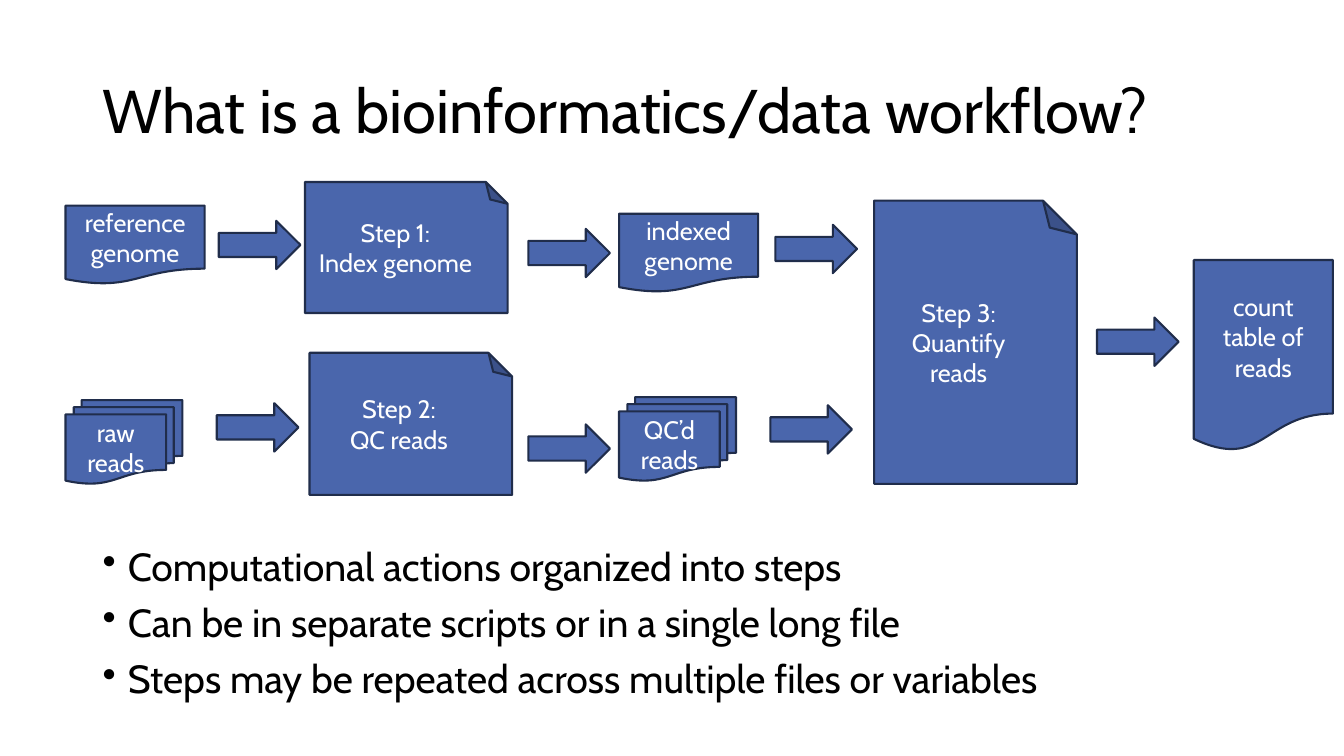
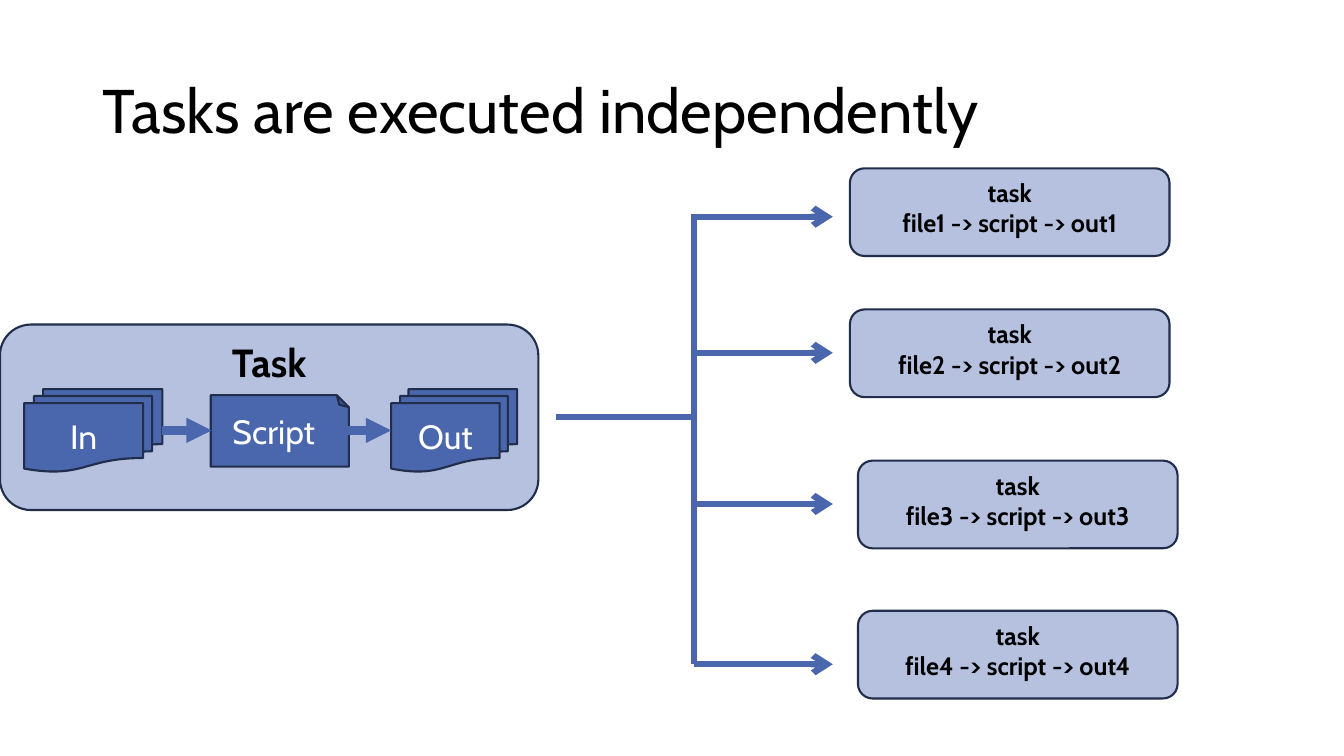
import pptx
import pptx.util
import pptx.dml.color
import pptx.enum.shapes
import pptx.enum.text
import pptx.oxml.ns
import lxml.etree

PX = 9144  # EMU in one px, 100 px to the inch
FORM = pptx.enum.shapes.MSO_SHAPE
ALIGN = pptx.enum.text.PP_ALIGN
ANCHOR = pptx.enum.text.MSO_ANCHOR


class Deck:
    font = "Cabin"
    tint = {
        "blue": "4A66AC",
        "pale": "B5C1DF",
        "edge": "202D4B",
        "text": "000000",
        "light": "FFFFFF",
    }

    def __init__(self):
        self.prs = pptx.Presentation()
        self.prs.slide_width = 1333 * PX
        self.prs.slide_height = 750 * PX
        self.slide = None

    def color(self, name):
        return pptx.dml.color.RGBColor.from_string(self.tint[name])

    def node(self, parent, tag, **attrs):
        return lxml.etree.SubElement(parent, pptx.oxml.ns.qn(tag), attrs)

    def label(self, shape, text, size, color, bold=False, align=ALIGN.CENTER,
              anchor=ANCHOR.MIDDLE):
        frame = shape.text_frame
        frame.text = text
        frame.word_wrap = True
        frame.vertical_anchor = anchor
        for para in frame.paragraphs:
            para.alignment = align
            for run in para.runs:
                run.font.name = self.font
                run.font.size = pptx.util.Pt(size)
                run.font.bold = bold
                run.font.color.rgb = self.color(color)
        return frame.paragraphs

    # Text blocks
    def block(self, box, text, size, anchor):
        shape = self.slide.shapes.add_textbox(*[n * PX for n in box])
        paras = self.label(shape, text, size, "text", align=ALIGN.LEFT, anchor=anchor)
        for para in paras:
            para.line_spacing = 0.9
        return paras

    def page(self, title):
        self.slide = self.prs.slides.add_slide(self.prs.slide_layouts[6])
        self.block((92, 40, 1150, 145), title, 44, ANCHOR.MIDDLE)

    def bullets(self, box, items):
        for para in self.block(box, "\n".join(items), 28, ANCHOR.TOP):
            para.space_before = pptx.util.Pt(10)
            props = para._p.get_or_add_pPr()
            props.set("marL", str(25 * PX))
            props.set("indent", str(-25 * PX))
            self.node(props, "a:buChar", char="•")

    # Filled shapes
    def shape(self, form, x, y, w, h, fill="blue"):
        shape = self.slide.shapes.add_shape(form, x * PX, y * PX, w * PX, h * PX)
        shape.shadow.inherit = False
        shape.fill.solid()
        shape.fill.fore_color.rgb = self.color(fill)
        shape.line.color.rgb = self.color("edge")
        shape.line.width = pptx.util.Pt(1.5)
        return shape

    def file(self, x, y, w, h, text):
        self.label(self.shape(FORM.FLOWCHART_DOCUMENT, x, y, w, h), text, 18, "light")

    def stack(self, x, y, w, h, text, size=18):
        shape = self.shape(FORM.FLOWCHART_MULTIDOCUMENT, x, y, w, h)
        self.label(shape, text, size, "light")

    def step(self, x, y, w, h, text, size=18):
        """Folded sheet turned on its side, with upright text; the box is as seen."""
        shift = (w - h) // 2
        shape = self.shape(FORM.FOLDED_CORNER, x + shift, y - shift, h, w)
        shape.rotation = 270
        self.label(shape, text, size, "light")
        shape.element.txBody.bodyPr.set("vert", "vert")

    def arrow(self, x, y):
        self.shape(FORM.RIGHT_ARROW, x, y, 81, 48)

    def panel(self, x, y, w, h, text, size=18):
        shape = self.shape(FORM.ROUNDED_RECTANGLE, x, y, w, h, "pale")
        self.label(shape, text, size, "text", bold=True, anchor=ANCHOR.TOP)

    # Lines
    def line(self, x1, y1, x2, y2, width=4.5, head=None):
        line = self.slide.shapes.add_connector(
            pptx.enum.shapes.MSO_CONNECTOR.STRAIGHT,
            x1 * PX, y1 * PX, x2 * PX, y2 * PX)
        line.line.color.rgb = self.color("blue")
        line.line.width = pptx.util.Pt(width)
        props = line.element.spPr
        if head:
            self.node(props.find(pptx.oxml.ns.qn("a:ln")), "a:tailEnd", type=head)
        self.node(props, "a:effectLst")


def flow(deck):
    deck.page("What is a bioinformatics/data workflow?")
    deck.bullets((92, 538, 1150, 212), [
        "Computational actions organized into steps",
        "Can be in separate scripts or in a single long file",
        "Steps may be repeated across multiple files or variables",
    ])

    # Steps
    deck.step(303, 180, 201, 130, "Step 1:\nIndex genome")
    deck.step(307, 350, 201, 141, "Step 2:\nQC reads")
    deck.step(867, 199, 201, 281, "Step 3:\nQuantify reads")

    # Inputs and outputs
    deck.file(65, 204, 138, 78, "reference genome")
    deck.file(614, 212, 138, 78, "indexed genome")
    deck.file(1184, 258, 138, 190, "count table of reads")
    deck.stack(65, 397, 116, 83, "raw reads")
    deck.stack(614, 394, 116, 83, "QC’d reads")

    for x, y in [(217, 219), (215, 400), (524, 227), (524, 421),
                 (769, 223), (764, 402), (1088, 315)]:
        deck.arrow(x, y)


def tasks(deck):
    deck.page("Tasks are executed independently")

    # One task in general
    deck.panel(0, 322, 534, 184, "Task", 28)
    deck.step(209, 392, 137, 71, "Script", 24)
    deck.stack(24, 386, 137, 82, "In", 24)
    deck.stack(388, 386, 125, 82, "Out", 24)
    for x1, x2 in [(161, 210), (336, 388)]:
        deck.line(x1, 427, x2, 427, 6, "triangle")

    # Trunk and branches to each task
    trunk = 688
    deck.line(551, 414, trunk, 414)
    deck.line(trunk, 212, trunk, 659)
    rows = [(215, 843, 167), (350, 843, 307), (500, 851, 457), (659, 851, 606)]
    for num, (mid, x, y) in enumerate(rows, 1):
        deck.line(trunk, mid, trunk + 138, mid, head="arrow")
        deck.panel(x, y, 317, 87, f"task\nfile{num} -> script -> out{num}")


def main():
    deck = Deck()
    flow(deck)
    tasks(deck)
    deck.prs.save("out.pptx")


if __name__ == "__main__":
    main()
